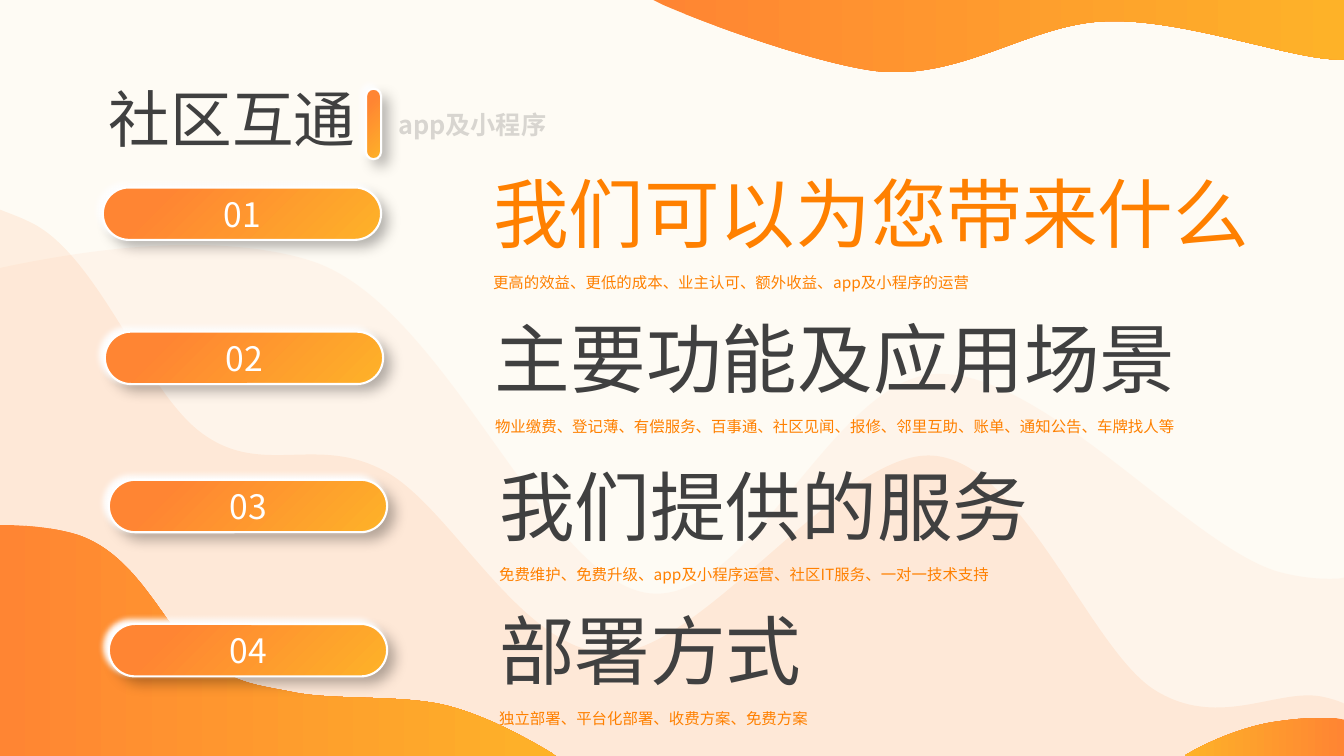
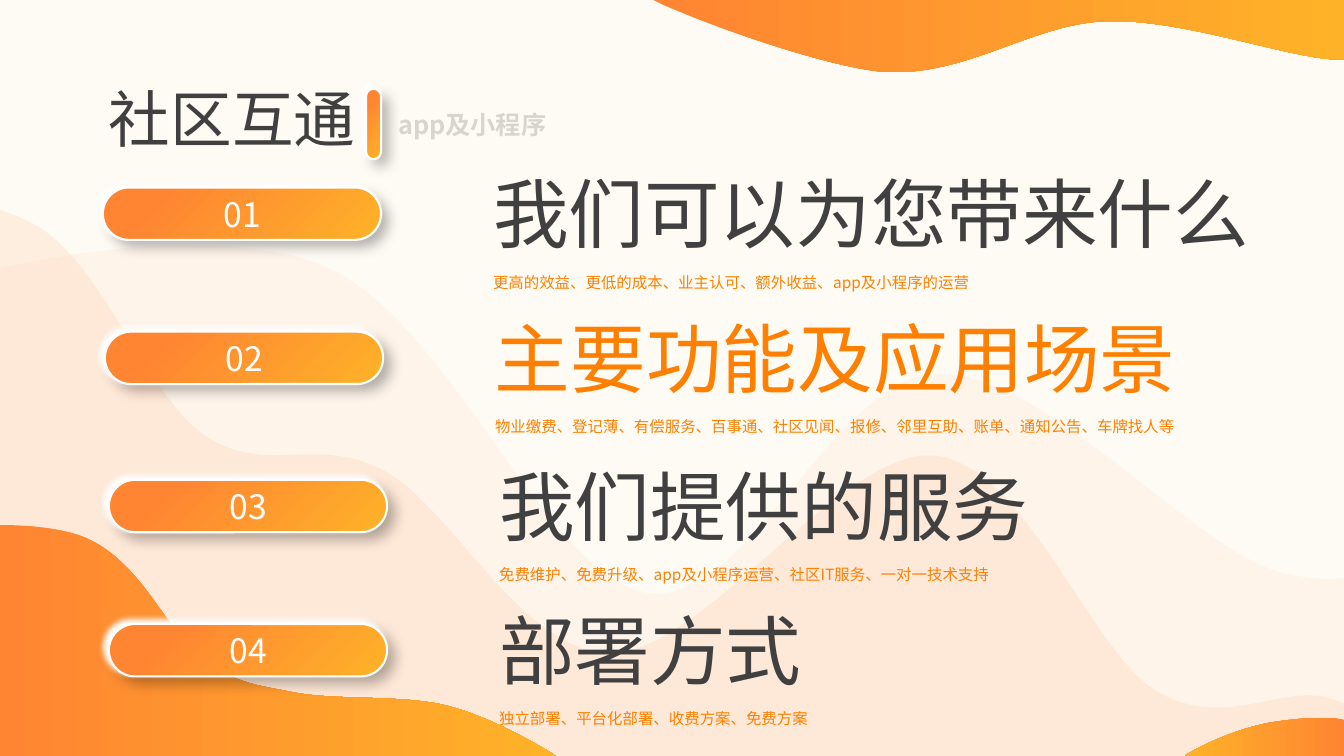
"""Build two agenda slides that highlight one chapter each."""
import pptx
import pptx.dml.color
import pptx.enum.shapes
import pptx.enum.text
import pptx.oxml
import pptx.oxml.ns
import pptx.util

PX = 9144
WIDTH, HEIGHT = 1333, 750
FONT = "Noto Sans CJK SC"
DARK, ACCENT, WHITE, BLACK = "404040", "FF8000", "FFFFFF", "000000"
ORANGE, YELLOW, PEACH = "FF8533", "FEB228", "FFE7D6"

TITLE, SUBTITLE = "社区互通", "app及小程序"
CHAPTERS = [
    (102, 186, 483, "我们可以为您带来什么", "更高的效益、更低的成本、业主认可、额外收益、app及小程序的运营"),
    (104, 329, 731, "主要功能及应用场景", "物业缴费、登记薄、有偿服务、百事通、社区见闻、报修、邻里互助、账单、通知公告、车牌找人等"),
    (108, 476, 731, "我们提供的服务", "免费维护、免费升级、app及小程序运营、社区IT服务、一对一技术支持"),
    (108, 619, 731, "部署方式", "独立部署、平台化部署、收费方案、免费方案"),
]
SLIDES = [
    {"highlight": 0, "heading_fonts": [FONT, FONT, FONT, FONT]},
    {"highlight": 1, "heading_fonts": ["Arial", FONT, FONT, FONT]},
]

PALE_WAVE = [
    (198, 243), (240, 244, 280, 249, 312, 260), (443, 306, 537, 569, 640, 588),
    (742, 606, 825, 374, 929, 371), (1034, 367, 1178, 540, 1267, 567),
    (1289, 573, 1309, 575, 1328, 574), (1333, 573), (1333, 750), (0, 750),
    (0, 266), (4, 265), (66, 252, 135, 242, 198, 243),
]
PEACH_WAVE = [
    (0, 208), (13, 213), (18, 215, 23, 217, 27, 219), (97, 249, 143, 390, 202, 431),
    (261, 473, 314, 431, 381, 467), (449, 503, 518, 650, 608, 648),
    (699, 645, 835, 446, 925, 452), (1015, 458, 1081, 645, 1146, 685),
    (1211, 725, 1270, 680, 1315, 692), (1320, 693, 1326, 695, 1331, 697),
    (1333, 698), (1333, 750), (0, 750),
]
TOP_WAVE = [
    (648, 0), (1333, 0), (1333, 59), (1289, 62, 1178, 19, 1100, 21),
    (1022, 22, 953, 82, 865, 70), (816, 63, 726, 34, 658, 5),
]
RIGHT_WAVE = [
    (1312, 712), (1318, 712, 1323, 712, 1328, 713), (1333, 714), (1333, 750),
    (1175, 750), (1176, 749), (1201, 734, 1237, 720, 1265, 716),
    (1279, 714, 1296, 712, 1312, 712),
]
LEFT_WAVE = [
    (0, 521), (12, 521), (37, 522, 58, 525, 75, 530), (139, 550, 164, 627, 200, 653),
    (236, 679, 252, 679, 292, 687), (333, 695, 399, 689, 443, 700),
    (482, 710, 520, 731, 547, 747), (551, 750), (0, 750),
]
TINTED_WAVES = [(PALE_WAVE, PEACH, 30), (PEACH_WAVE, ORANGE, 10)]
GRADIENT_WAVES = [(TOP_WAVE, 0), (RIGHT_WAVE, 180), (LEFT_WAVE, 0)]


def rgb(value):
    return pptx.dml.color.RGBColor.from_string(value)


def emu(*lengths):
    return [round(length * PX) for length in lengths]


def tag(name):
    return pptx.oxml.ns.qn(name)


def xml(name, content="", **attributes):
    pairs = "".join(f' {key}="{value}"' for key, value in attributes.items())
    namespace = pptx.oxml.ns.nsdecls("a")
    return pptx.oxml.parse_xml(f"<a:{name} {namespace}{pairs}>{content}</a:{name}>")


def solid(fill, holder, colour, alpha=100):
    fill.solid()
    fill.fore_color.rgb = rgb(colour)
    if alpha < 100:
        holder.find(".//" + tag("a:srgbClr")).append(xml("alpha", val=alpha * 1000))


def gradient(fill, first, last, end=1.0):
    fill.gradient()
    for stop, colour, position in zip(fill.gradient_stops, (first, last), (0.0, end)):
        stop.color.rgb = rgb(colour)
        stop.position = position


def plain(shape):
    shape.shadow.inherit = False
    shape.line.fill.background()
    return shape


def glow(shape, colour, alpha, blur, distance, angle):
    tone = f'<a:srgbClr val="{colour}"><a:alpha val="{alpha * 1000}"/></a:srgbClr>'
    shape.element.spPr.find(tag("a:effectLst")).append(xml(
        "outerShdw", tone, blurRad=blur * 12700, dist=distance * 12700,
        dir=angle * 60000, algn="ctr", rotWithShape=0))


def add_wave(page, segments):
    """Outline the segment ends, then bend the six-number segments into curves."""
    builder = page.shapes.build_freeform(*emu(*segments[0]))
    builder.add_line_segments([emu(*segment[-2:]) for segment in segments[1:]], close=True)
    wave = plain(builder.convert_to_shape())
    edges = list(wave.element.iter(tag("a:lnTo")))
    for edge, segment in zip(edges, segments[1:]):
        if len(segment) == 6:
            lengths = emu(*segment)
            points = "".join(
                f'<a:pt x="{x - wave.left}" y="{y - wave.top}"/>'
                for x, y in zip(lengths[::2], lengths[1::2]))
            edge.getparent().replace(edge, xml("cubicBezTo", points))
    return wave


def add_background(page):
    """Draw the wash and waves, then hand them to the layout all slides share."""
    rectangle = pptx.enum.shapes.MSO_SHAPE.RECTANGLE
    wash = plain(page.shapes.add_shape(rectangle, *emu(0, 0, WIDTH, HEIGHT)))
    solid(wash.fill, wash.element.spPr, YELLOW, 5)
    for segments, colour, alpha in TINTED_WAVES:
        wave = add_wave(page, segments)
        solid(wave.fill, wave.element.spPr, colour, alpha)
    for segments, angle in GRADIENT_WAVES:
        wave = add_wave(page, segments)
        gradient(wave.fill, ORANGE, YELLOW)
        wave.fill.gradient_angle = angle

    layout = page.slide_layout
    for placeholder in list(layout.placeholders):
        layout.shapes.element.remove(placeholder.element)
    for shape in list(page.shapes):
        layout.shapes.element.append(shape.element)


def add_pill(page, *area):
    """Stack a shadowed base and a gradient face in one group."""
    shapes = page.shapes.add_group_shape().shapes
    base, face = (
        plain(shapes.add_shape(pptx.enum.shapes.MSO_SHAPE.ROUNDED_RECTANGLE, *emu(*area)))
        for _ in range(2))
    for layer in (base, face):
        layer.adjustments[0] = 0.5
    solid(base.fill, base.element.spPr, YELLOW)
    glow(base, BLACK, 30, 10, 7, 45)

    gradient(face.fill, YELLOW, ORANGE, 0.8)
    blend = face.element.spPr.find(tag("a:gradFill"))
    focus = '<a:fillToRect l="100000" t="100000"/>'
    blend.replace(blend.find(tag("a:lin")), xml("path", focus, path="circle"))
    face.line.color.rgb = rgb(WHITE)
    face.line.width = pptx.util.Pt(1.5)
    glow(face, WHITE, 100, 4, 4, 220)


def add_text(page, area, text, size, colour, alpha=100, bold=None, font=FONT,
             align="LEFT", anchor="TOP", spacing=None):
    box = page.shapes.add_textbox(*emu(*area))
    frame = box.text_frame
    frame.word_wrap = True
    frame.auto_size = pptx.enum.text.MSO_AUTO_SIZE.SHAPE_TO_FIT_TEXT
    frame.vertical_anchor = pptx.enum.text.MSO_ANCHOR[anchor]
    frame.margin_left = frame.margin_top = frame.margin_right = frame.margin_bottom = 0
    para = frame.paragraphs[0]
    para.alignment = pptx.enum.text.PP_ALIGN[align]
    para.line_spacing = spacing
    span = para.add_run()
    span.text = text
    span.font.size = pptx.util.Pt(size)
    span.font.bold = bold
    span.font.name = font
    solid(span.font.fill, span._r, colour, alpha)
    span._r.find(".//" + tag("a:latin")).addnext(xml("ea", typeface=FONT))


def add_header(page):
    add_text(page, (108, 80, 553, 74), TITLE, 44, DARK)
    add_text(page, (395, 108, 344, 30), SUBTITLE, 18, DARK, alpha=20, bold=True,
             anchor="MIDDLE")
    add_pill(page, 363, 88, 15, 70)


def add_chapter(page, number, chapter, colour, heading_font):
    x, y, details_width, heading, details = chapter
    text_x = x + 387
    add_pill(page, x, y, 276, 52)
    add_text(page, (x + 18, y + 6, 241, 40), f"{number:02}", 24, WHITE, align="CENTER")
    add_text(page, (text_x, y - 20, 783, 91), heading, 54, colour, font=heading_font)
    add_text(page, (text_x, y + 79, details_width, 22), details, 11, ACCENT, spacing=1.3)


def main():
    deck = pptx.Presentation()
    deck.slide_width, deck.slide_height = emu(WIDTH, HEIGHT)
    blank = deck.slide_layouts[6]
    pages = [deck.slides.add_slide(blank) for _ in SLIDES]
    add_background(pages[0])
    for page, slide in zip(pages, SLIDES):
        add_header(page)
        for index, chapter in enumerate(CHAPTERS):
            colour = ACCENT if index == slide["highlight"] else DARK
            add_chapter(page, index + 1, chapter, colour, slide["heading_fonts"][index])
    deck.save("out.pptx")


if __name__ == "__main__":
    main()
